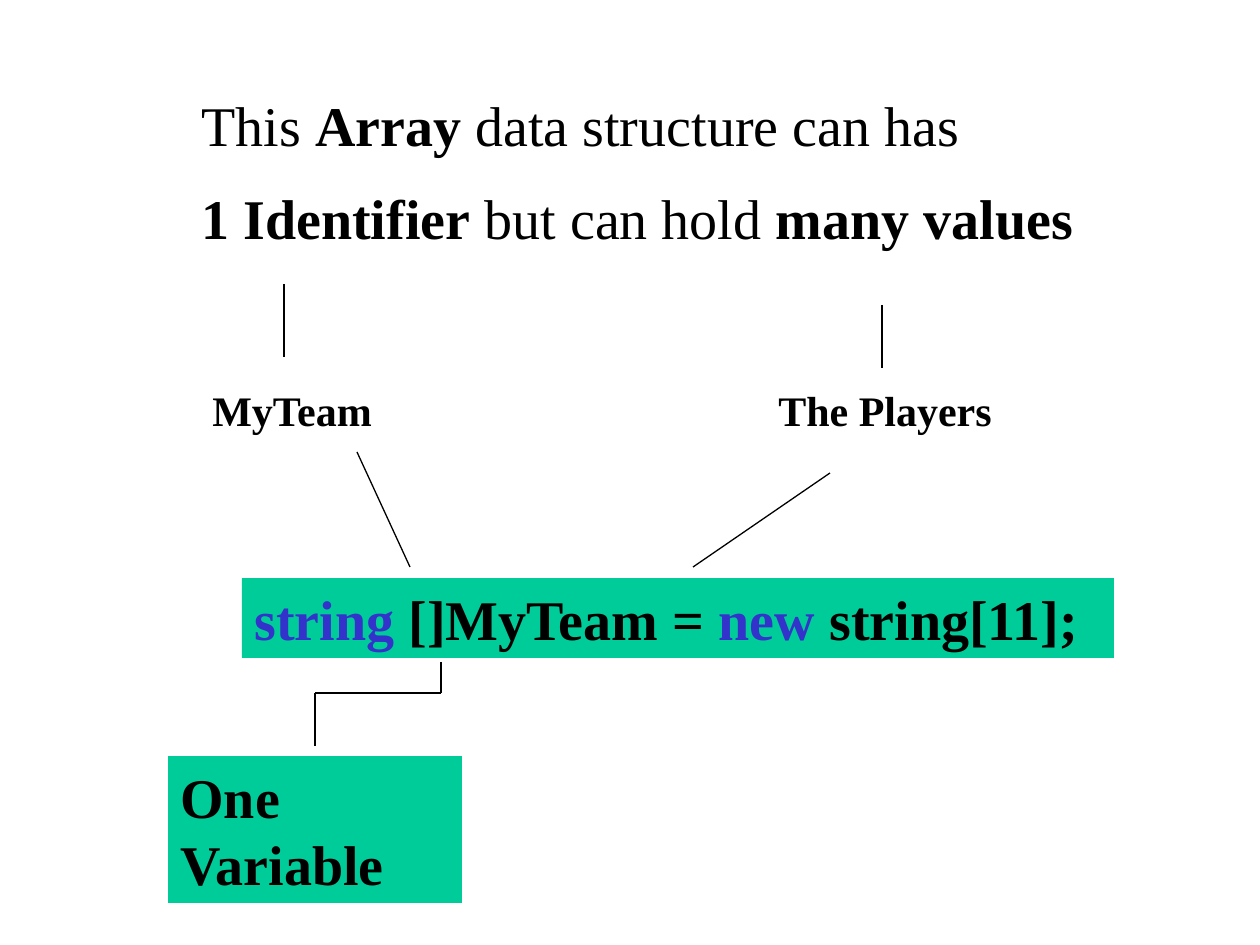
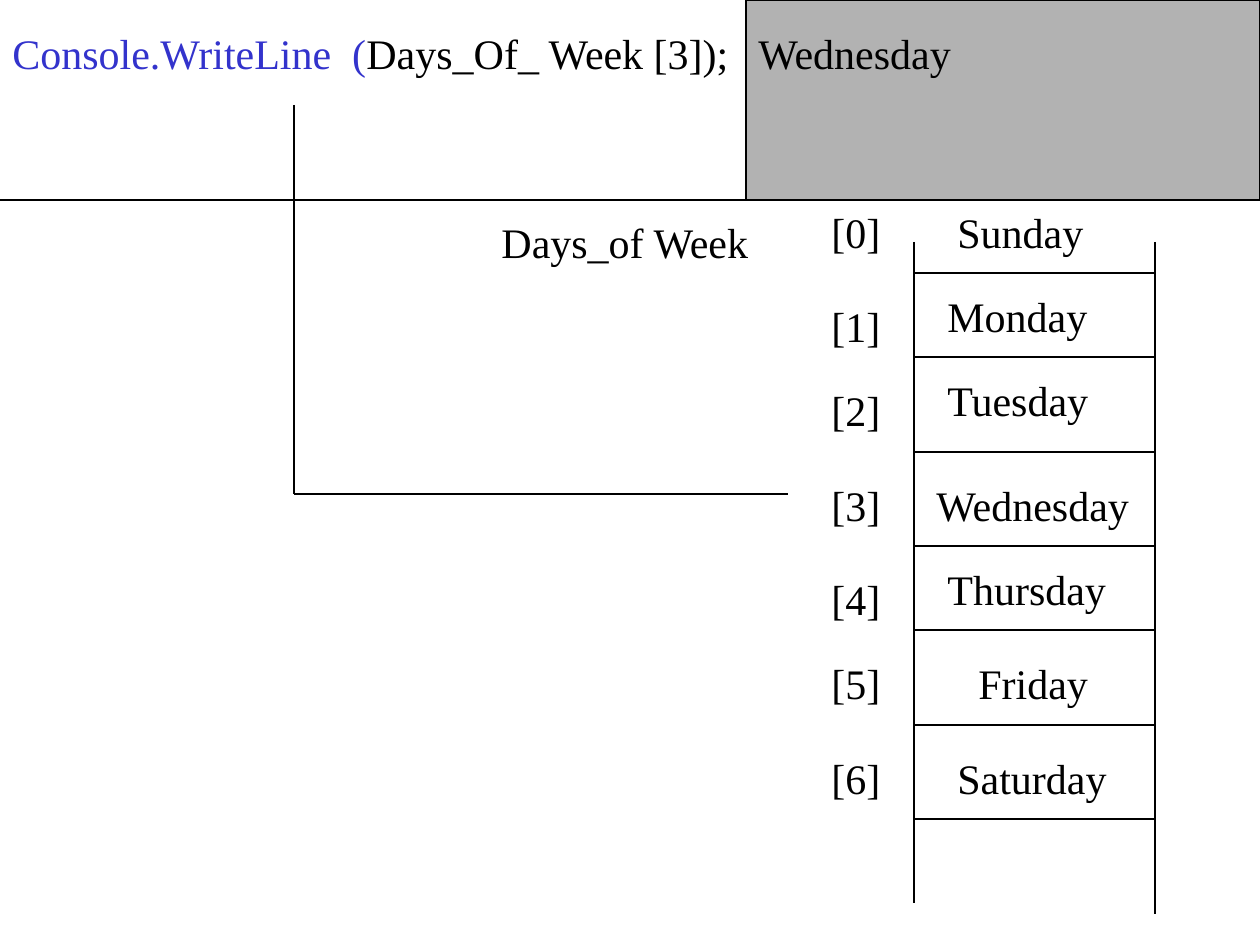
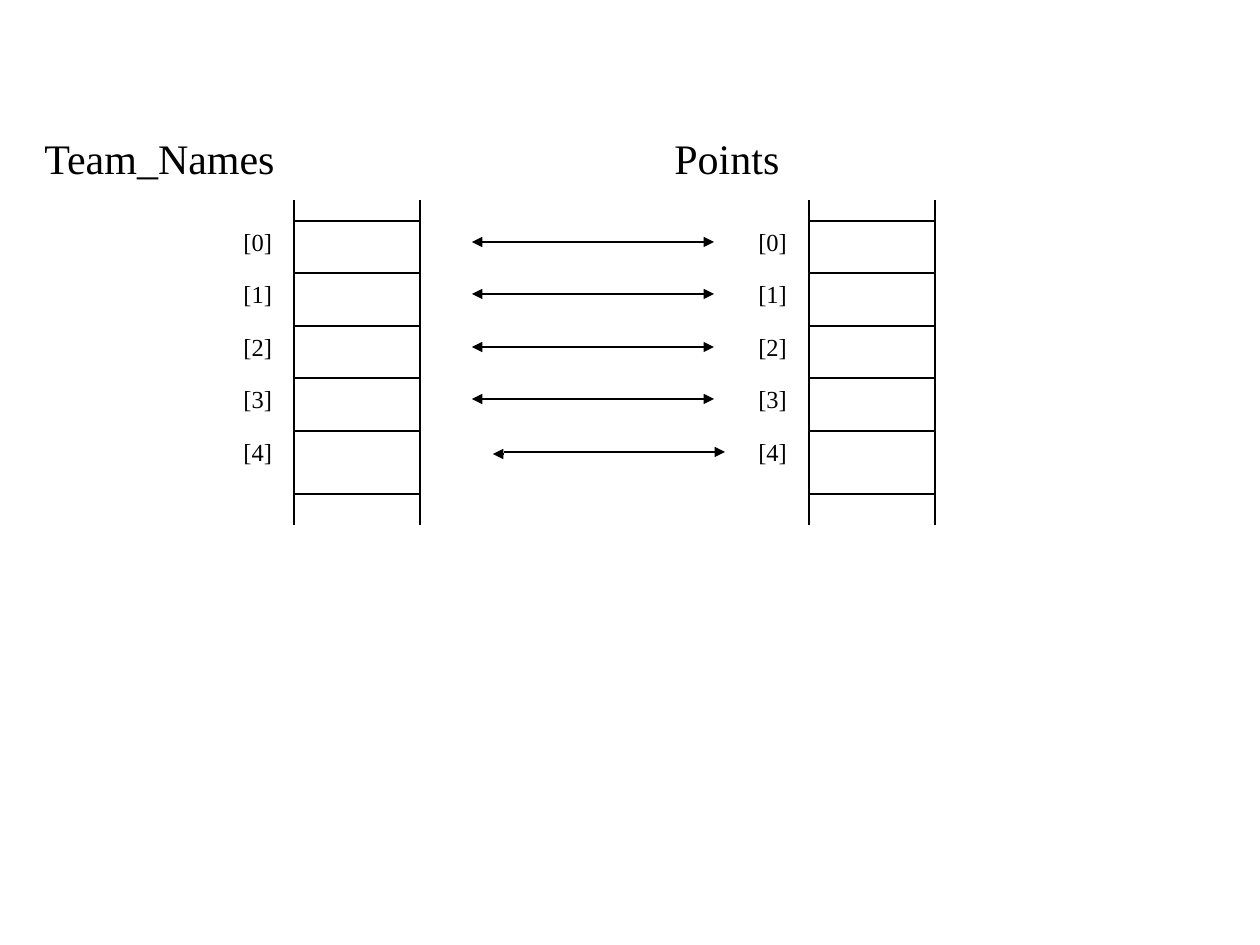
from dataclasses import dataclass
from lxml.etree import SubElement
from pptx import Presentation
from pptx.dml.color import RGBColor as RGB
from pptx.enum.shapes import MSO_CONNECTOR as CONN, MSO_SHAPE as SHAPE
from pptx.enum.text import MSO_ANCHOR as ANCHOR, MSO_AUTO_SIZE as FIT, PP_ALIGN as ALIGN
from pptx.oxml.ns import qn
from pptx.util import Pt


@dataclass(frozen=True)
class Theme:
    font: str = "Times New Roman"
    ink: RGB = RGB(0x00, 0x00, 0x00)
    keyword: RGB = RGB(0x33, 0x33, 0xCC)
    box: RGB = RGB(0x00, 0xCC, 0x99)
    screen: RGB = RGB(0xB2, 0xB2, 0xB2)
    line: float = 0.75
    large: int = 32
    medium: int = 24
    small: int = 14


T = Theme()
PX = 914400 / 126
FRAME = {
    "word_wrap": True,
    "auto_size": FIT.SHAPE_TO_FIT_TEXT,
    "vertical_anchor": ANCHOR.TOP,
}


def add_line(s, x1, y1, x2, y2, arrow=False):
    ends = [round(v * PX) for v in (x1, y1, x2, y2)]
    c = s.shapes.add_connector(CONN.STRAIGHT, *ends)
    c.line.color.rgb = T.ink
    c.line.width = Pt(T.line)
    if arrow:
        SubElement(c.line._get_or_add_ln(), qn("a:tailEnd"), type="triangle")
    SubElement(c._element.spPr, qn("a:effectLst"))


def add_text(s, x, y, w, h, paras, size=T.medium, bold=False, fill=None, gap=15):
    at = [round(v * PX) for v in (x, y, w, h)]
    if fill is None:
        sp = s.shapes.add_textbox(*at)
    else:
        sp = s.shapes.add_shape(SHAPE.RECTANGLE, *at)
        sp.shadow.inherit = False
        sp.fill.solid()
        sp.fill.fore_color.rgb = fill
        sp.line.fill.background()
    tf = sp.text_frame
    for name, value in FRAME.items():
        setattr(tf, name, value)
    for i, runs in enumerate(paras):
        p = tf.add_paragraph() if i else tf.paragraphs[0]
        p.alignment = ALIGN.LEFT
        p.space_before = Pt(gap)
        for text, *own in runs:
            r = p.add_run()
            r.text = text
            fmt = {"name": T.font, "size": Pt(size), "bold": bold}
            color = T.ink
            for value in own:
                if isinstance(value, bool):
                    fmt["bold"] = value
                else:
                    color = value
            for name, value in fmt.items():
                setattr(r.font, name, value)
            r.font.color.rgb = color


prs = Presentation()
prs.slide_width = round(1260 * PX)
prs.slide_height = round(945 * PX)
blank = prs.slide_layouts[6]

s = prs.slides.add_slide(blank)
for ends in [
    (284, 284, 284, 357),
    (882, 305, 882, 368),
    (357, 452, 410, 567),
    (693, 567, 830, 473),
    (441, 693, 315, 693),
    (441, 662, 441, 693),
    (315, 693, 315, 746),
]:
    add_line(s, *ends)
add_text(s, 189, 84, 945, 174, [
    [("This ",), ("Array ", True), ("data structure can has",)],
    [("1 Identifier", True), (" but can hold ",), ("many values", True)],
], T.large)
add_text(s, 200, 378, 200, 63, [[("MyTeam",)]], bold=True)
add_text(s, 766, 378, 252, 63, [[("The Players",)]], bold=True)
add_text(s, 168, 756, 294, 147, [[("One Variable",)]], T.large, True, T.box, 20)
add_text(s, 242, 578, 872, 80, [[
    ("string", T.keyword), (" []MyTeam = ",), ("new", T.keyword), (" string[11];",),
]], T.large, True, T.box, 20)

s = prs.slides.add_slide(blank)
left, right = 914, 1155
add_line(s, left, 242, left, 903)
add_line(s, right, 242, right, 914)
days = [
    ("Sunday", 945, 200, 200, 273),
    ("Monday", 935, 284, 294, 357),
    ("Tuesday", 935, 368, 378, 452),
    ("Wednesday", 924, 473, 473, 546),
    ("Thursday", 935, 557, 567, 630),
    ("Friday", 966, 651, 651, 725),
    ("Saturday", 945, 746, 746, 819),
]
for i, (day, x, day_y, index_y, rung_y) in enumerate(days):
    add_text(s, 819, index_y, 126, 63, [[(f"[{i}]",)]])
    add_text(s, x, day_y, 231, 63, [[(day,)]])
    add_line(s, left, rung_y, right, rung_y)
add_text(s, 489, 210, 284, 63, [[("Days_of Week",)]])
add_line(s, 0, 200, 1260, 200)
add_text(s, 0, 21, 766, 63, [[
    ("Console.WriteLine  (", T.keyword), ("Days_Of_ Week [3]);",),
]])
screen = [round(v * PX) for v in (746, 0, 514, 200)]
sp = s.shapes.add_shape(SHAPE.RECTANGLE, *screen)
sp.shadow.inherit = False
sp.fill.solid()
sp.fill.fore_color.rgb = T.screen
sp.line.color.rgb = T.ink
sp.line.width = Pt(T.line)
add_text(s, 746, 21, 242, 63, [[("Wednesday",)]])
add_line(s, 294, 105, 294, 494)
add_line(s, 294, 494, 788, 494)

s = prs.slides.add_slide(blank)
rungs = [221, 273, 326, 378, 431, 494]
for title, title_x, title_w, x in [
    ("Team_Names", 32, 399, 294),
    ("Points", 662, 210, 809),
]:
    add_text(s, title_x, 126, title_w, 63, [[(title,)]])
    for rail in (x, x + 126):
        add_line(s, rail, 200, rail, 525)
    for y in rungs:
        add_line(s, x, y, x + 126, y)
    for i, y in enumerate(rungs[:5]):
        add_text(s, x - 63, y, 63, 43, [[(f"[{i}]",)]], T.small, gap=8.8)
arrows = [
    (472, 483, 714, 0),
    (472, 494, 714, 0),
    (472, 483, 714, 0),
    (472, 483, 714, 0),
    (493, 504, 725, 2),
]
for rung, (start, joint, end, drop) in zip(rungs, arrows):
    y = rung + 21
    add_line(s, joint, y, end, y, arrow=True)
    add_line(s, joint, y + drop, start, y + drop, arrow=True)

prs.save("out.pptx")
